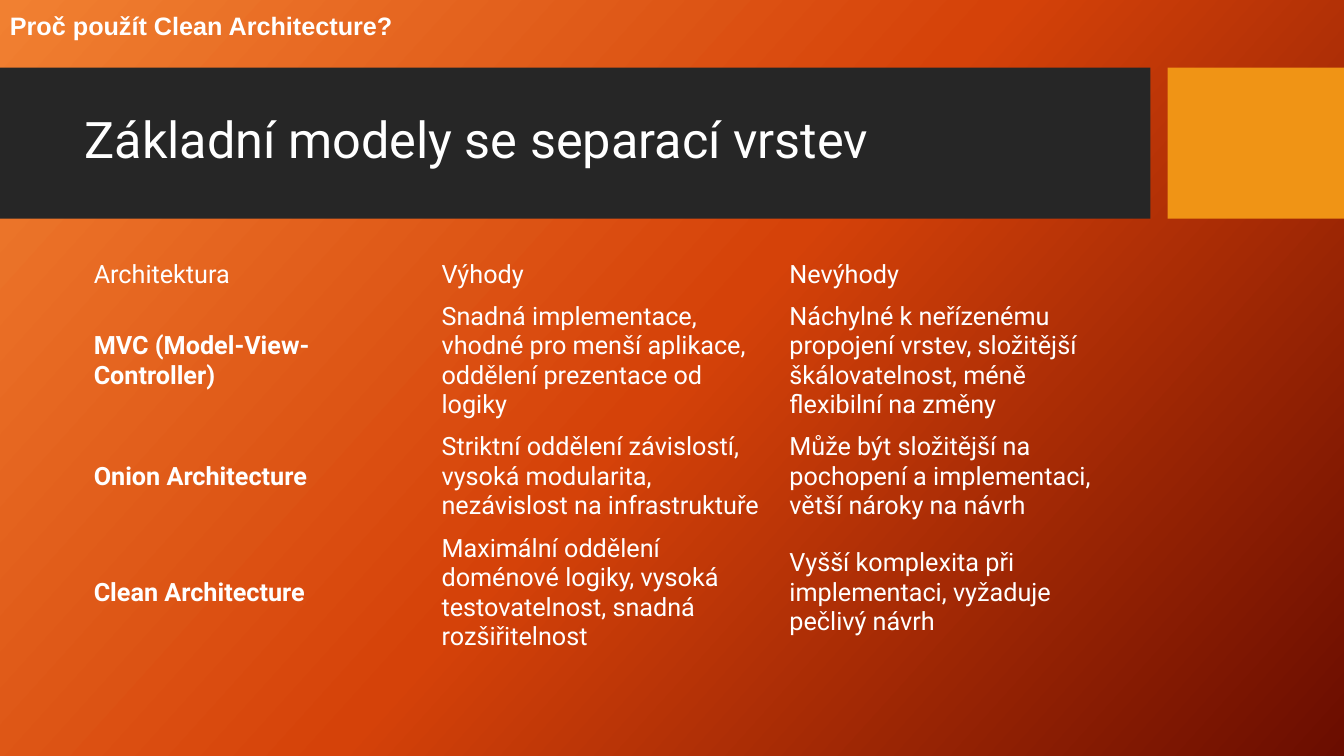
"""Build the slide comparing layered architecture models."""
from copy import deepcopy

from pptx import Presentation
from pptx import util as u
from pptx.dml.color import RGBColor
from pptx.enum import shapes, text
from pptx.oxml.ns import qn

COLORS = {"glow": "F18031", "ember": "D54209", "dusk": "6A0D00",
          "band": "262626", "accent": "F09415", "ink": "FFFFFF"}
NO_GRID = "{2D5ABB26-0587-4C30-8999-92F81FD0307C}"


def write(frame, words, **style):
    frame.word_wrap = True
    frame.vertical_anchor = text.MSO_ANCHOR.MIDDLE
    paragraph = frame.paragraphs[0]
    paragraph.alignment = text.PP_ALIGN.LEFT
    run = paragraph.add_run()
    run.text = words
    run.font.color.rgb = RGBColor.from_string(COLORS["ink"])
    for key, value in style.items():
        setattr(run.font, key, value)
    return paragraph


deck = Presentation()
deck.slide_width, deck.slide_height = u.Inches(13.33), u.Inches(7.5)
slide = deck.slides.add_slide(deck.slide_layouts[6])

backdrop = slide.background.fill
backdrop.gradient()
backdrop.gradient_angle = 360 - 42
stop_list = slide.element.find(".//" + qn("a:gsLst"))
stop_list.insert(1, deepcopy(stop_list[0]))
for stop, name, position in zip(backdrop.gradient_stops, ("glow", "ember", "dusk"), (0, 0.5, 1)):
    stop.color.rgb = RGBColor.from_string(COLORS[name])
    stop.position = position

for name, left, width in (("band", 0, 11.41), ("accent", 11.58, 1.75)):
    block = slide.shapes.add_shape(shapes.MSO_SHAPE.RECTANGLE, u.Inches(left), u.Inches(0.67),
                                   u.Inches(width), u.Inches(1.5))
    block.shadow.inherit = False
    block.fill.solid()
    block.fill.fore_color.rgb = RGBColor.from_string(COLORS[name])
    block.line.fill.background()

heading = slide.shapes.add_textbox(u.Inches(0.74), u.Inches(0.82), u.Inches(10.51), u.Inches(1.18))
write(heading.text_frame, "Základní modely se separací vrstev",
      size=u.Pt(36), name="Roboto").line_spacing = 0.9

models = [
    ("Architektura", "Výhody", "Nevýhody"),
    ("MVC (Model-View-Controller)",
     "Snadná implementace, vhodné pro menší aplikace, oddělení prezentace od logiky",
     "Náchylné k neřízenému propojení vrstev, složitější škálovatelnost, méně flexibilní na změny"),
    ("Onion Architecture",
     "Striktní oddělení závislostí, vysoká modularita, nezávislost na infrastruktuře",
     "Může být složitější na pochopení a implementaci, větší nároky na návrh"),
    ("Clean Architecture",
     "Maximální oddělení doménové logiky, vysoká testovatelnost, snadná rozšiřitelnost",
     "Vyšší komplexita při implementaci, vyžaduje pečlivý návrh"),
]
row_heights = (0.39, 1.28, 0.98, 1.28)
comparison = slide.shapes.add_table(len(models), 3, u.Inches(0.83), u.Inches(2.53),
                                    u.Inches(3 * 3.45), u.Inches(sum(row_heights))).table
comparison.first_row = comparison.horz_banding = False
slide.element.find(".//" + qn("a:tableStyleId")).text = NO_GRID
for column in comparison.columns:
    column.width = u.Inches(3.45)
for r, (model, height) in enumerate(zip(models, row_heights)):
    comparison.rows[r].height = u.Inches(height)
    for c, words in enumerate(model):
        cell = comparison.cell(r, c)
        cell.fill.background()
        write(cell.text_frame, words, size=u.Pt(18), name="Roboto", bold=r > 0 and c == 0)
        cell.vertical_anchor = text.MSO_ANCHOR.MIDDLE

question = slide.shapes.add_textbox(0, 0, deck.slide_width, u.Inches(0.5))
write(question.text_frame, "Proč použít Clean Architecture?", size=u.Pt(18), name="Arial", bold=True)

deck.save("out.pptx")
